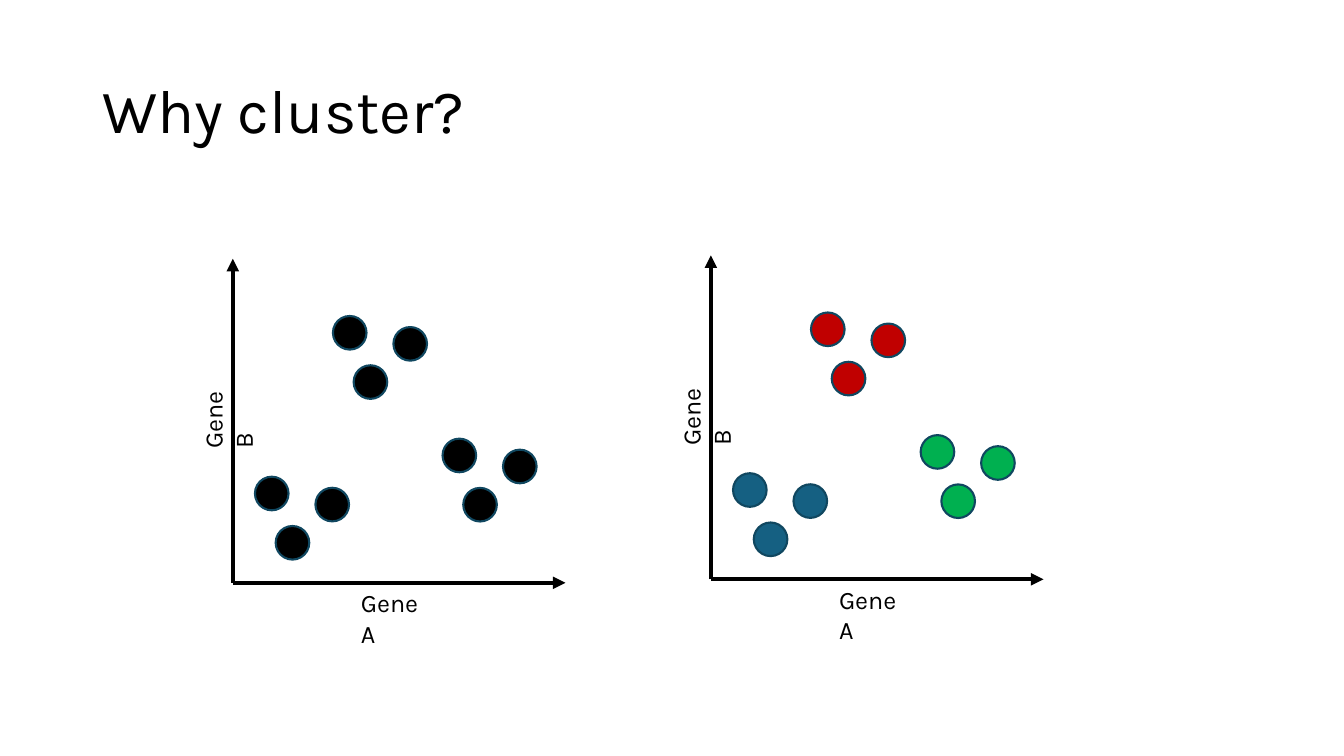
from lxml import etree
from pptx import Presentation
from pptx.dml.color import RGBColor
from pptx.enum import shapes, text
from pptx.oxml import ns
from pptx.util import Pt

BLACK = RGBColor(0x00, 0x00, 0x00)
BLUE = RGBColor(0x15, 0x60, 0x82)
RED = RGBColor(0xC0, 0x00, 0x00)
GREEN = RGBColor(0x00, 0xB0, 0x50)
OUTLINE = RGBColor(0x10, 0x47, 0x60)

AXIS_WIDTH = 237.6
AXIS_HEIGHT = 231.4
DOT_SIZE = 24
CLUSTER_CORNERS = [(15.8, -75.8), (71.5, -190.6), (149.8, -103)]
CLUSTER_DOTS = [(0, 0), (14.8, 35.2), (43.2, 7.9)]


class SlideBuilder:
    font = "Karla"

    def __init__(self, slide):
        self.slide = slide

    def style(self, frame, size):
        for para in frame.paragraphs:
            para.alignment = text.PP_ALIGN.LEFT
            for span in para.runs:
                span.font.name = self.font
                span.font.size = Pt(size)
                span.font.color.rgb = BLACK

    def title(self, words, left, top, width, height):
        box = self.slide.shapes.title
        box.left, box.top = Pt(left), Pt(top)
        box.width, box.height = Pt(width), Pt(height)
        frame = box.text_frame
        frame.text = words
        frame.vertical_anchor = text.MSO_ANCHOR.MIDDLE
        frame.paragraphs[0].line_spacing = 0.9
        self.style(frame, 44)

    def label(self, words, left, top, rotation=0):
        box = self.slide.shapes.add_textbox(Pt(left), Pt(top), Pt(68), Pt(29))
        box.rotation = rotation
        frame = box.text_frame
        frame.text = words
        frame.word_wrap = True
        self.style(frame, 18)

    def arrow(self, start_x, start_y, end_x, end_y):
        line = self.slide.shapes.add_connector(
            shapes.MSO_CONNECTOR.STRAIGHT, Pt(start_x), Pt(start_y), Pt(end_x), Pt(end_y)
        )
        line.line.color.rgb = BLACK
        line.line.width = Pt(3)
        etree.SubElement(line.line._get_or_add_ln(), ns.qn("a:tailEnd"), type="triangle")
        etree.SubElement(line._element.spPr, ns.qn("a:effectLst"))

    def dot(self, left, top, color):
        shape = self.slide.shapes.add_shape(
            shapes.MSO_SHAPE.OVAL, Pt(left), Pt(top), Pt(DOT_SIZE), Pt(DOT_SIZE)
        )
        shape.shadow.inherit = False
        shape.fill.solid()
        shape.fill.fore_color.rgb = color
        shape.line.color.rgb = OUTLINE
        shape.line.width = Pt(1.5)

    def scatter(self, x, y, colors):
        self.label("Gene A", x + 84.4, y)
        self.label("Gene B", x - 48.4, y - 137, rotation=270)
        self.arrow(x, y, x, y - AXIS_HEIGHT)
        self.arrow(x, y, x + AXIS_WIDTH, y)
        for (corner_x, corner_y), color in zip(CLUSTER_CORNERS, colors):
            for dot_x, dot_y in CLUSTER_DOTS:
                self.dot(x + corner_x + dot_x, y + corner_y + dot_y, color)


def main():
    deck = Presentation()
    deck.slide_width, deck.slide_height = Pt(960), Pt(540)
    page = SlideBuilder(deck.slides.add_slide(deck.slide_layouts[5]))
    page.title("Why cluster?", 66, 28.8, 828, 104.4)
    page.scatter(166.3, 416.3, [BLACK, BLACK, BLACK])
    page.scatter(507.8, 413.8, [BLUE, RED, GREEN])
    deck.save("out.pptx")


if __name__ == "__main__":
    main()
